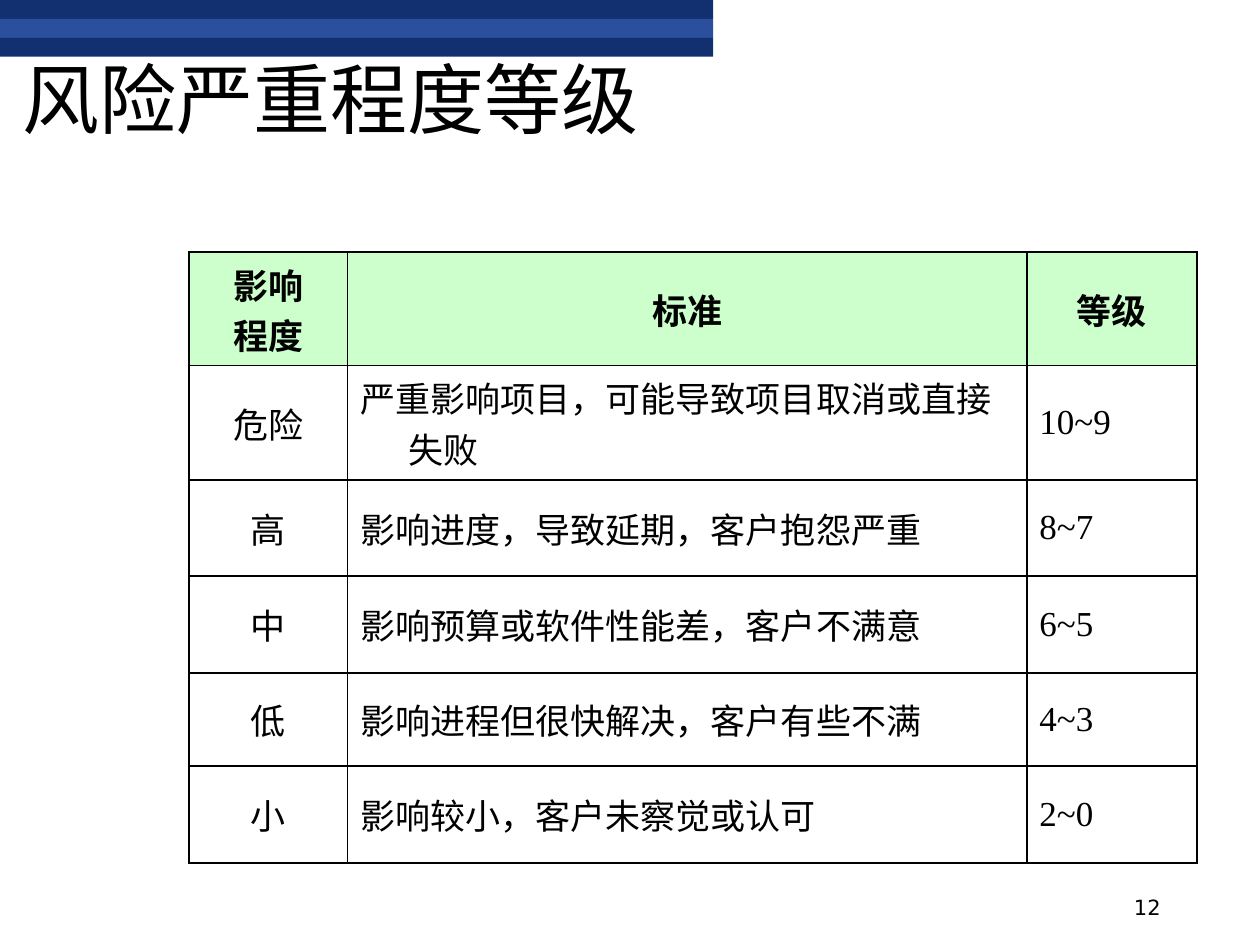
from lxml import etree
from pptx import Presentation, util as u
from pptx.dml.color import RGBColor
from pptx.enum import shapes, text
from pptx.oxml import ns

W, H = u.Inches(10), u.Inches(7.5)
HUES = {"dark": "123070", "mid": "2B4F9D", "head": "CCFFCC", "ink": "000000", "page": "FFFFFF"}
COLS = [1.26, 5.39, 1.35]
ROWS = [0.9, 0.91, 0.76, 0.77, 0.74, 0.77]
GRID = [
    ("影响\n程度", "标准", "等级"),
    ("危险", "严重影响项目，可能导致项目取消或直接失败", "10~9"),
    ("高", "影响进度，导致延期，客户抱怨严重", "8~7"),
    ("中", "影响预算或软件性能差，客户不满意", "6~5"),
    ("低", "影响进程但很快解决，客户有些不满", "4~3"),
    ("小", "影响较小，客户未察觉或认可", "2~0"),
]


def hue(name):
    return RGBColor.from_string(HUES[name])


def percent(x, y, w, h):
    return [int(v / 100) for v in (W * x, H * y, W * w, H * h)]


def style(para, size, face, align, bold=False):
    para.alignment = align
    font = para.font
    font.size, font.name, font.bold = u.Pt(size), face, bold
    font.color.rgb = hue("ink")


def banner(slide, box):
    x, y, w, h = box
    for i, name in enumerate(("dark", "mid", "dark")):
        bar = slide.shapes.add_shape(shapes.MSO_SHAPE.RECTANGLE, x, y + h * i // 3, w, h // 3)
        bar.shadow.inherit = False
        bar.fill.solid()
        bar.fill.fore_color.rgb = hue(name)
        bar.line.fill.background()


def label(slide, box, words, size, face, align, space=1.0):
    frame = slide.shapes.add_textbox(*box).text_frame
    frame.word_wrap = True
    frame.vertical_anchor = text.MSO_ANCHOR.BOTTOM
    para = frame.paragraphs[0]
    para.text = words
    para.line_spacing = space
    style(para, size, face, align)


def border(cell):
    props = cell._tc.get_or_add_tcPr()
    for i, side in enumerate(("lnL", "lnR", "lnT", "lnB")):
        line = etree.Element(ns.qn("a:" + side), w=str(u.Pt(1)))
        fill = etree.SubElement(line, ns.qn("a:solidFill"))
        etree.SubElement(fill, ns.qn("a:srgbClr"), val=HUES["ink"])
        props.insert(i, line)


def fill_cell(cell, words, head, mid):
    cell.text = words
    cell.vertical_anchor = text.MSO_ANCHOR.MIDDLE
    cell.fill.solid()
    cell.fill.fore_color.rgb = hue("head" if head else "page")
    border(cell)
    align = text.PP_ALIGN.CENTER if mid else text.PP_ALIGN.LEFT
    for para in cell.text_frame.paragraphs:
        style(para, 20, "Times New Roman", align, head)
        props = para._p.get_or_add_pPr()
        props.set("marL", str(u.Inches(0.38)))
        props.set("indent", str(-u.Inches(0.38)))


def levels(slide, box):
    x, y, w, h = box
    table = slide.shapes.add_table(len(ROWS), len(COLS), x, y, w, h).table
    for col, part in zip(table.columns, COLS):
        col.width = int(w * part / sum(COLS))
    for row, part in zip(table.rows, ROWS):
        row.height = int(h * part / sum(ROWS))
    for r, row in enumerate(GRID):
        for c, words in enumerate(row):
            fill_cell(table.cell(r, c), words, r == 0, r == 0 or c == 0)


def main():
    deck = Presentation()
    deck.slide_width, deck.slide_height = W, H
    slide = deck.slides.add_slide(deck.slide_layouts[6])
    banner(slide, percent(0, 0, 56.6, 6))
    label(slide, percent(70.6, 92.67, 22.5, 5.33), "12", 12, "DejaVu Sans",
          text.PP_ALIGN.RIGHT)
    label(slide, percent(0.8, 6.13, 75.5, 9.87), "风险严重程度等级", 44, "Calibri",
          text.PP_ALIGN.LEFT, 0.9)
    levels(slide, percent(15, 26.67, 80, 64.67))
    deck.save("out.pptx")


if __name__ == "__main__":
    main()
